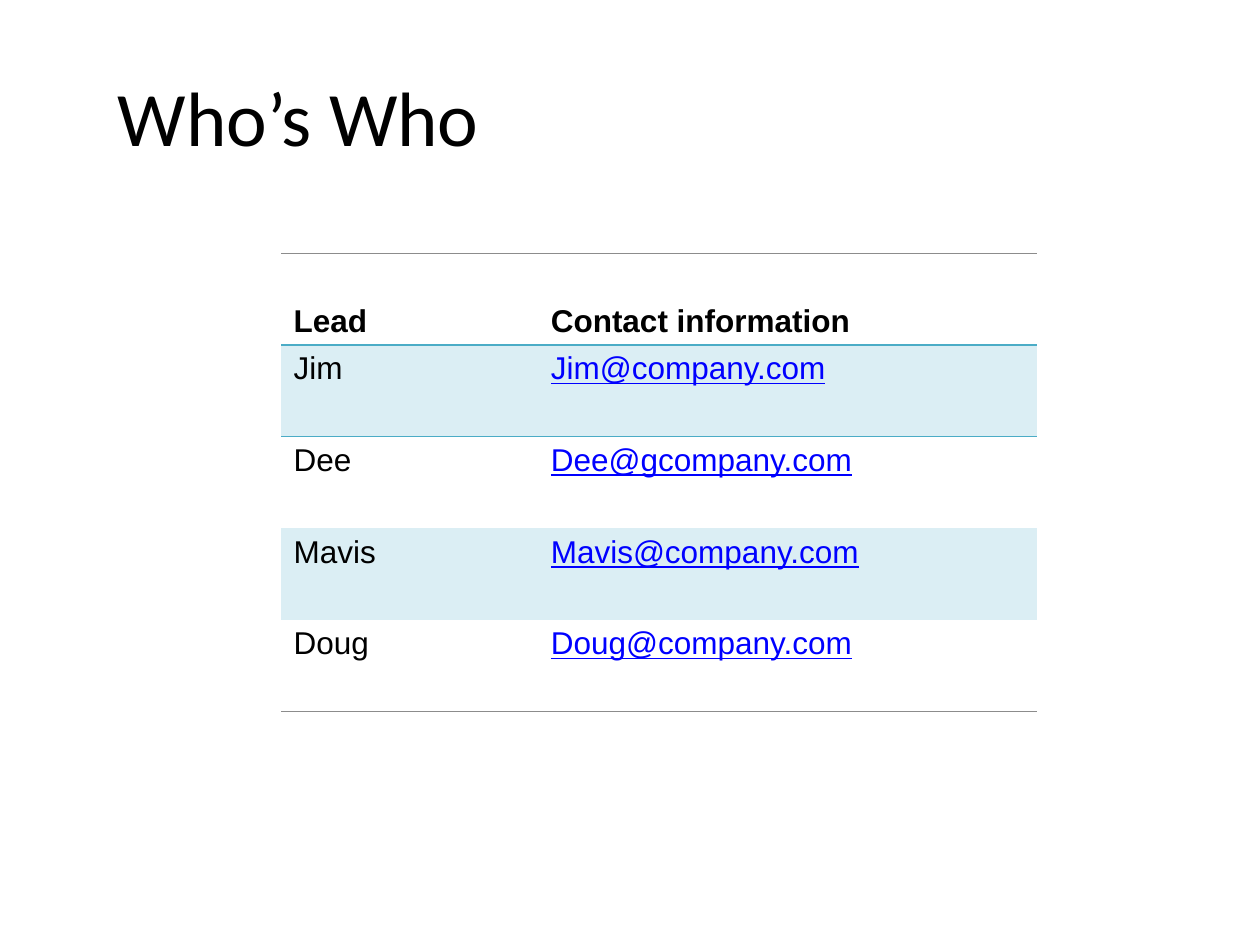
from lxml.etree import fromstring
from pptx import Presentation
from pptx.dml.color import RGBColor as RGB
from pptx.enum.text import MSO_ANCHOR as ANCHOR, PP_ALIGN as ALIGN
from pptx.oxml.ns import nsdecls, qn
from pptx.util import Pt

TITLE = "Who’s Who"
HEADER = ("Lead", "Contact information")
CONTACTS = [
    ("Jim", "Jim@company.com"),
    ("Dee", "Dee@gcompany.com"),
    ("Mavis", "Mavis@company.com"),
    ("Doug", "Doug@company.com"),
]

THEME = {
    "text": "000000",
    "link": "0000FF",
    "band": "DBEEF4",
    "accent": "4BACC6",
    "rule": "8C8C8C",
    "title": {"name": "Calibri", "size": Pt(44), "bold": False},
    "header": {"name": "Arial", "size": Pt(18), "bold": True},
    "body": {"name": "Arial", "size": Pt(18), "bold": False},
    "email": {"name": "Arial", "size": Pt(18), "bold": False, "underline": True},
}
NO_GRID = "{2D5ABB26-0587-4C30-8999-92F81FD0307C}"
TITLE_BOX = {"left": 60, "top": 21, "width": 636, "height": 90}
TABLE_LEFT, TABLE_TOP = 160.6, 144.8
COL_WIDTHS = (147, 285)
ROW_HEIGHT = 52.4


def write(tf, text, style, color="text"):
    p = tf.paragraphs[0]
    p.alignment = ALIGN.LEFT
    r = p.add_run()
    r.text = text
    for name, value in THEME[style].items():
        setattr(r.font, name, value)
    r.font.color.rgb = RGB.from_string(THEME[color])


def add_borders(cell, borders):
    tc_pr = cell._tc.get_or_add_tcPr()
    for i, (side, color, width) in enumerate(borders):
        tc_pr.insert(i, fromstring(
            f'<a:{side} {nsdecls("a")} w="{Pt(width)}"><a:solidFill>'
            f'<a:srgbClr val="{THEME[color]}"/></a:solidFill></a:{side}>'))


def add_title(slide):
    sp = slide.shapes.title
    for name, value in TITLE_BOX.items():
        setattr(sp, name, Pt(value))
    tf = sp.text_frame
    tf.vertical_anchor = ANCHOR.MIDDLE
    write(tf, TITLE, "title")


def add_contacts(slide):
    rows = [HEADER, *CONTACTS]
    last = len(rows) - 1
    table = slide.shapes.add_table(
        len(rows), len(HEADER), Pt(TABLE_LEFT), Pt(TABLE_TOP),
        Pt(sum(COL_WIDTHS)), Pt(ROW_HEIGHT * len(rows))).table
    table._tbl.tblPr.find(qn("a:tableStyleId")).text = NO_GRID
    for col, width in zip(table.columns, COL_WIDTHS):
        col.width = Pt(width)
    borders = {
        0: [("lnT", "rule", 0.5), ("lnB", "accent", 1)],
        1: [("lnT", "accent", 1)],
        last: [("lnB", "rule", 0.5)],
    }
    for i, row in enumerate(rows):
        table.rows[i].height = Pt(ROW_HEIGHT)
        for j, text in enumerate(row):
            cell = table.cell(i, j)
            cell.vertical_anchor = ANCHOR.TOP if i else ANCHOR.BOTTOM
            if i % 2:
                cell.fill.solid()
                cell.fill.fore_color.rgb = RGB.from_string(THEME["band"])
            else:
                cell.fill.background()
            add_borders(cell, borders.get(i, []))
            if i == 0:
                write(cell.text_frame, text, "header")
            elif j == 1:
                write(cell.text_frame, text, "email", "link")
            else:
                write(cell.text_frame, text, "body")


def main():
    prs = Presentation()
    prs.slide_width, prs.slide_height = Pt(720), Pt(540)
    slide = prs.slides.add_slide(prs.slide_layouts[5])
    add_title(slide)
    add_contacts(slide)
    prs.save("out.pptx")


if __name__ == "__main__":
    main()
